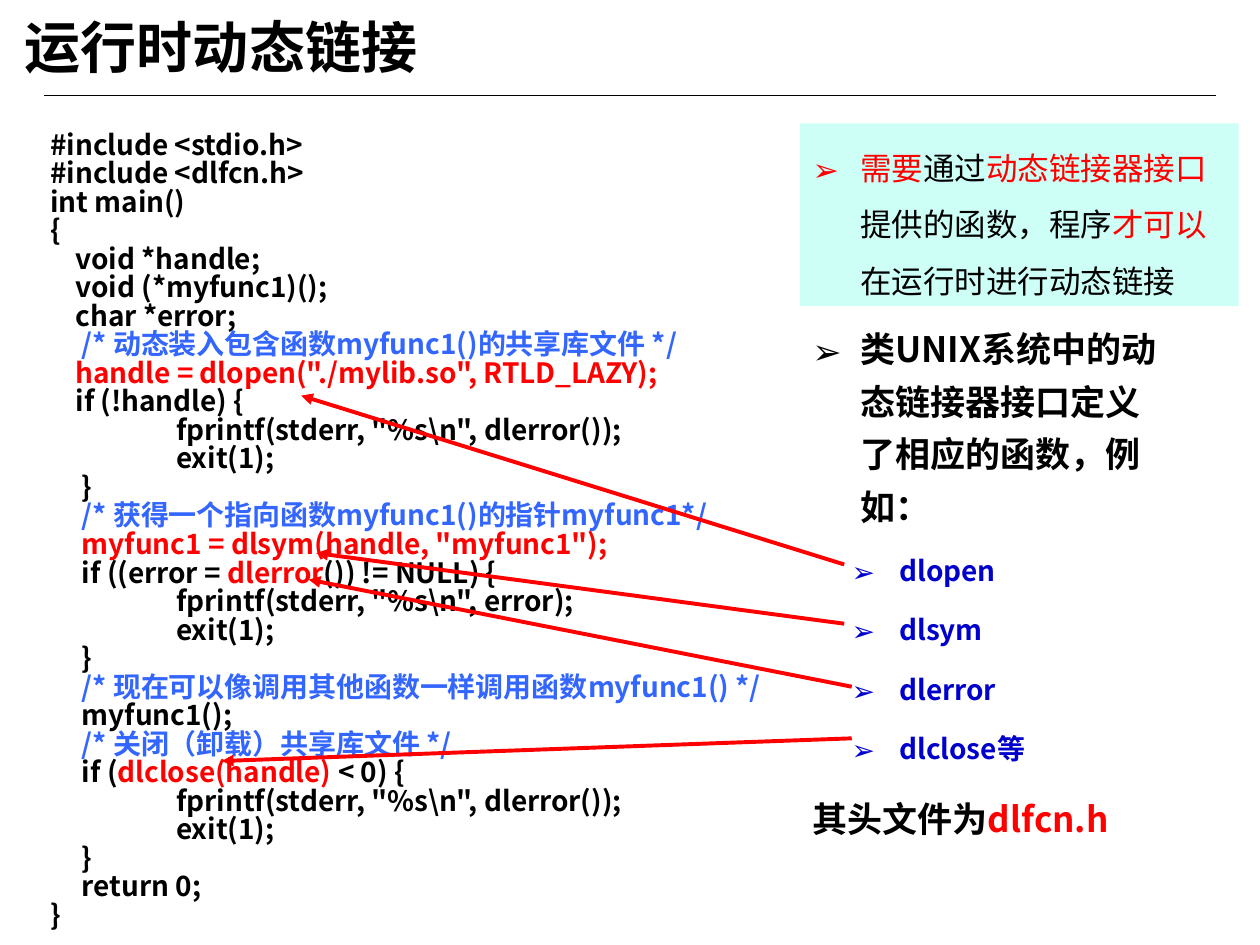
from lxml.etree import SubElement
from pptx import Presentation
from pptx.dml.color import RGBColor
from pptx.enum.shapes import MSO_CONNECTOR, MSO_SHAPE
from pptx.enum.text import MSO_ANCHOR, PP_ALIGN
from pptx.oxml.ns import qn
from pptx.util import Inches, Pt

FONT = "Noto Sans CJK SC"
COLORS = {
    "black": "000000",
    "white": "FFFFFF",
    "red": "FF0000",
    "comment": "3366FF",
    "function": "0000CC",
    "callout": "CDFFF7",
}
FRAME_FORMAT = {
    "margin_left": Inches(0.1),
    "margin_right": Inches(0.1),
    "margin_top": Inches(0.05),
    "margin_bottom": Inches(0.05),
    "word_wrap": True,
    "vertical_anchor": MSO_ANCHOR.TOP,
}
CODE = [
    "#include <stdio.h>",
    "#include <dlfcn.h>",
    "int main()",
    "{",
    "    void *handle;",
    "    void (*myfunc1)();",
    "    char *error;",
    [("     ", "black"), ("/* 动态装入包含函数myfunc1()的共享库文件 */", "comment")],
    [("    ", "black"), ('handle = dlopen("./mylib.so", RTLD_LAZY);', "red")],
    "    if (!handle) {",
    '\tfprintf(stderr, "%s\\n", dlerror());',
    "\texit(1);",
    "     }",
    [("     ", "black"), ("/* 获得一个指向函数myfunc1()的指针myfunc1*/", "comment")],
    [("     ", "black"), ('myfunc1 = dlsym(handle, "myfunc1");', "red")],
    [("     if ((error = ", "black"), ("dlerror", "red"), ("()) != NULL) {", "black")],
    '\tfprintf(stderr, "%s\\n", error);',
    "\texit(1);",
    "     }",
    [("     ", "black"), ("/* 现在可以像调用其他函数一样调用函数myfunc1() */", "comment")],
    "     myfunc1();",
    [("     ", "black"), ("/* 关闭（卸载）共享库文件 */", "comment")],
    [("     if (", "black"), ("dlclose(handle)", "red"), (" < 0) {", "black")],
    '         \tfprintf(stderr, "%s\\n", dlerror());',
    "\texit(1);",
    "     }",
    "     return 0;",
    "}",
]
REQUIREMENT = [
    ("需要", "red"),
    ("通过", "black"),
    ("动态链接器接口", "red"),
    ("提供的函数，程序", "black"),
    ("才可以", "red"),
    ("在运行时进行动态链接", "black"),
]
FUNCTIONS = ["dlopen", "dlsym", "dlerror", "dlclose等"]
CALL_ARROWS = [
    ((6.7, 4.48), (2.39, 3.14)),
    ((6.7, 4.95), (2.51, 4.39)),
    ((6.76, 5.45), (2.45, 4.6)),
    ((6.76, 5.86), (1.76, 6.04)),
]


def rgb(color):
    return RGBColor.from_string(COLORS[color])


def set_attributes(target, values):
    for attribute, value in values.items():
        setattr(target, attribute, value)


def add_frame(slide, box, fill=None, **changes):
    left, top, width, height = map(Inches, box)
    if fill:
        panel = slide.shapes.add_shape(MSO_SHAPE.RECTANGLE, left, top, width, height)
        panel.shadow.inherit = False
        panel.fill.solid()
        panel.fill.fore_color.rgb = rgb(fill)
        panel.line.fill.background()
    else:
        panel = slide.shapes.add_textbox(left, top, width, height)
    set_attributes(panel.text_frame, FRAME_FORMAT | changes)
    return panel.text_frame


def add_paragraph(frame, content, size, bold=True, spacing=1.0, before=0,
                  level=0, indent=None, bullet=None, tab=None):
    first = frame.paragraphs[0]
    paragraph = frame.add_paragraph() if first.runs else first
    properties = paragraph._p.get_or_add_pPr()
    if indent:
        properties.set("marL", str(Inches(indent)))
        properties.set("indent", str(Inches(-0.38)))
    if bullet:
        bullet_color = SubElement(properties, qn("a:buClr"))
        SubElement(bullet_color, qn("a:srgbClr"), val=COLORS[bullet])
        SubElement(properties, qn("a:buFont"), typeface=FONT)
        SubElement(properties, qn("a:buChar"), char="➢")
    if tab:
        stops = SubElement(properties, qn("a:tabLst"))
        SubElement(stops, qn("a:tab"), pos=str(Inches(tab)), algn="l")
    set_attributes(paragraph, {
        "alignment": PP_ALIGN.LEFT,
        "level": level,
        "line_spacing": spacing,
        "space_before": Pt(before),
    })
    runs = [(content, "black")] if isinstance(content, str) else content
    for text, color in runs:
        run = paragraph.add_run()
        run.text = text
        set_attributes(run.font, {"name": FONT, "size": Pt(size), "bold": bold})
        run.font.color.rgb = rgb(color)
        SubElement(run._r.get_or_add_rPr(), qn("a:ea"), typeface=FONT)


def add_line(slide, start, end, color, width, arrow=False):
    line = slide.shapes.add_connector(
        MSO_CONNECTOR.STRAIGHT, *map(Inches, start + end))
    line.line.color.rgb = rgb(color)
    line.line.width = Pt(width)
    if arrow:
        SubElement(line.line._get_or_add_ln(), qn("a:tailEnd"), type="triangle")
    SubElement(line._element.spPr, qn("a:effectLst"))


def add_title(slide):
    add_line(slide, (0.35, 0.76), (9.65, 0.76), "black", 0.75)
    title = add_frame(slide, (0.1, 0.06, 9.3, 0.61), vertical_anchor=MSO_ANCHOR.MIDDLE)
    add_paragraph(title, "运行时动态链接", 32)


def add_code(slide):
    listing = add_frame(slide, (0.3, 1, 6.01, 6.44), "white",
                        word_wrap=False, vertical_anchor=MSO_ANCHOR.MIDDLE)
    for code_line in CODE:
        add_paragraph(listing, code_line, 16, spacing=0.85, tab=1)


def add_interface(slide):
    interface = add_frame(slide, (6.35, 2.47, 2.97, 4.25))
    add_paragraph(interface, "类UNIX系统中的动态链接器接口定义了相应的函数，例如：",
                  20, spacing=1.25, indent=0.38, bullet="black")
    for function in FUNCTIONS:
        add_paragraph(interface, [(function, "function")], 16, spacing=1.25,
                      before=10, level=1, indent=0.69, bullet="function")
    add_paragraph(interface, [("其头文件为", "black"), ("dlfcn.h", "red")],
                  20, spacing=1.25, before=12.5, indent=0.38)


def add_requirement(slide):
    requirement = add_frame(slide, (6.35, 0.98, 3.48, 1.45), "callout")
    add_paragraph(requirement, REQUIREMENT, 18, bold=False, spacing=1.5,
                  indent=0.38, bullet="red")


def main():
    presentation = Presentation()
    presentation.slide_width = Inches(10)
    presentation.slide_height = Inches(7.5)
    slide = presentation.slides.add_slide(presentation.slide_layouts[6])
    add_title(slide)
    add_code(slide)
    add_interface(slide)
    add_requirement(slide)
    for start, end in CALL_ARROWS:
        add_line(slide, start, end, "red", 2.25, arrow=True)
    presentation.save("out.pptx")


if __name__ == "__main__":
    main()
